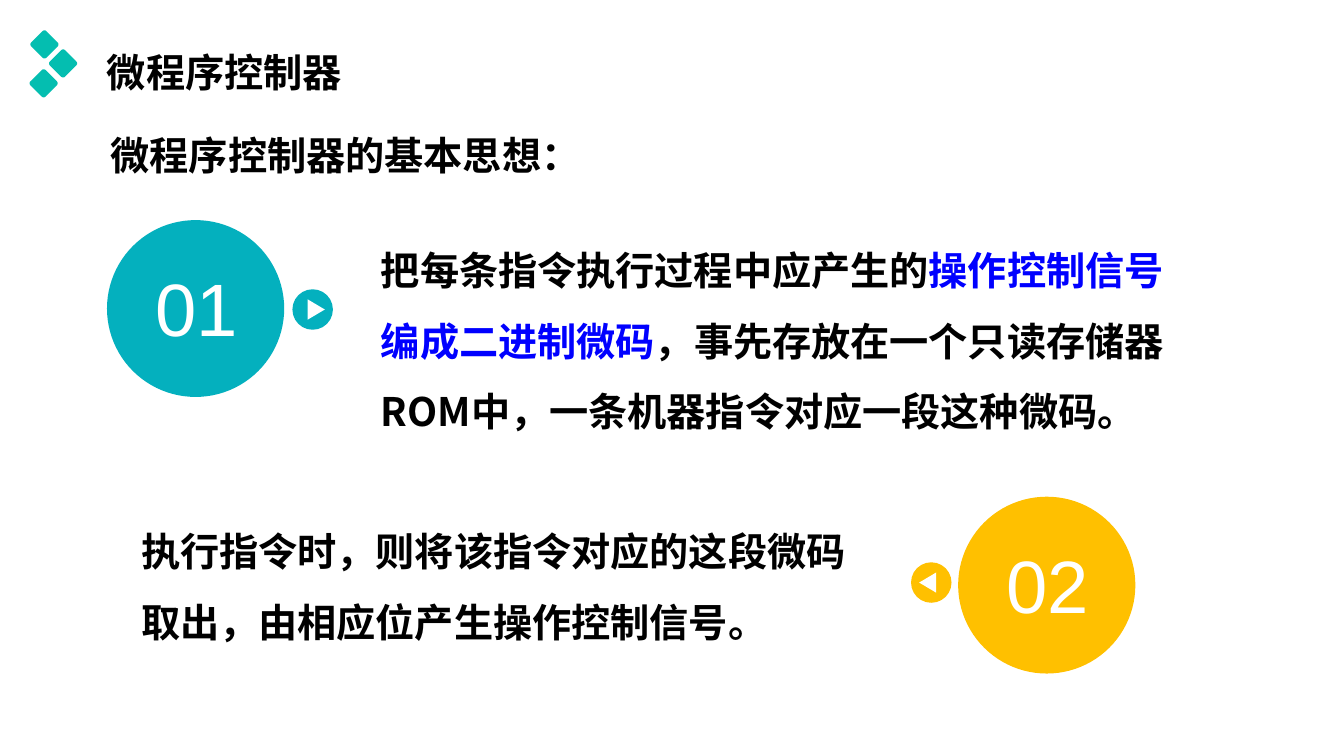
from lxml import etree
from pptx import Presentation
from pptx.dml.color import RGBColor
from pptx.enum import shapes, text
from pptx.oxml import ns
from pptx.util import Cm, Pt

HAN = "Noto Sans CJK SC"
TEAL, GREEN, AMBER = "04B0BE", "04BEB0", "FFC000"
BLACK, BLUE, WHITE = "000000", "0000FF", "FFFFFF"
KIND = shapes.MSO_SHAPE


def color(value):
    return RGBColor.from_string(value)


def place(item, box):
    for side, length in zip(("left", "top", "width", "height"), box):
        setattr(item, side, Cm(length))


def add_run(paragraph, words, ink, size=28, face=HAN, bold=True):
    run = paragraph.add_run()
    run.text = words
    for key, value in {"name": face, "size": Pt(size), "bold": bold}.items():
        setattr(run.font, key, value)
    run.font.color.rgb = color(ink)
    east_asian = etree.SubElement(run.font._element, ns.qn("a:ea"))
    east_asian.set("typeface", face)


def write(item, runs, indented=False, wrap=True,
          anchor=text.MSO_ANCHOR.TOP, fit=text.MSO_AUTO_SIZE.NONE):
    """Fill a box with one bold paragraph at 1.5 line spacing."""
    frame = item.text_frame
    for key, value in {"word_wrap": wrap, "vertical_anchor": anchor,
                       "auto_size": fit}.items():
        setattr(frame, key, value)
    paragraph = frame.paragraphs[0]
    if indented:
        paragraph.level = 1
        properties = paragraph._p.get_or_add_pPr()
        properties.set("marL", str(Cm(1.27)))
        properties.set("indent", "0")
        etree.SubElement(properties, ns.qn("a:buNone"))
    for key, value in {"alignment": text.PP_ALIGN.LEFT, "line_spacing": 1.5,
                       "space_before": Pt(0)}.items():
        setattr(paragraph, key, value)
    for words, ink in runs:
        add_run(paragraph, words, ink)


def add_text_box(slide, box):
    return slide.shapes.add_textbox(*map(Cm, box))


def add_figure(slide, kind, box, fill, outline=None, rotation=0):
    figure = slide.shapes.add_shape(kind, *map(Cm, box))
    figure.shadow.inherit = False
    figure.rotation = rotation
    figure.fill.solid()
    figure.fill.fore_color.rgb = color(fill)
    if outline:
        figure.line.color.rgb = color(fill)
        figure.line.width = Pt(outline)
    else:
        figure.line.fill.background()
    return figure


def add_diamond(slide, center_x, center_y, side=0.54):
    box = (center_x - side / 2, center_y - side / 2, side, side)
    diamond = add_figure(slide, KIND.ROUNDED_RECTANGLE, box, GREEN, rotation=45)
    diamond.adjustments[0] = 0.12


def add_number(slide, digits, left, top, fill):
    add_figure(slide, KIND.OVAL, (left, top, 4.36, 4.35), fill, outline=3)
    label = add_text_box(slide, (left + 0.66, top + 0.89, 3.1, 2.51))
    label.text_frame.word_wrap = True
    paragraph = label.text_frame.paragraphs[0]
    paragraph.alignment = text.PP_ALIGN.CENTER
    add_run(paragraph, digits, WHITE, size=53, face="Arial", bold=False)


def add_pointer(slide, left, top, fill, direction):
    """Small disc with a triangle; direction is 1 for right, -1 for left."""
    disc, base, height = 1.02, 0.51, 0.43
    add_figure(slide, KIND.OVAL, (left, top, disc, disc), fill)
    middle_x = left + disc / 2 + direction * 0.09
    box = (middle_x - base / 2, top + (disc - height) / 2, base, height)
    add_figure(slide, KIND.ISOSCELES_TRIANGLE, box, WHITE,
               rotation=90 * direction % 360)


def main():
    deck = Presentation()
    deck.slide_width, deck.slide_height = Cm(33.87), Cm(19.05)
    slide = deck.slides.add_slide(deck.slide_layouts[1])

    # Title and second idea
    title, execution = slide.placeholders
    place(title, (2.44, 0.46, 12.67, 2.11))
    write(title, [("微程序控制器", BLACK)], anchor=text.MSO_ANCHOR.MIDDLE)
    place(execution, (2.03, 12.57, 20.22, 6.48))
    write(execution, [("执行指令时，则将该指令对应的这段微码取出，"
                       "由相应位产生操作控制信号。", BLACK)], indented=True)

    # Corner ornament
    for center in ((1.12, 1.12), (1.59, 1.6), (1.1, 2.1)):
        add_diamond(slide, *center)

    # Subtitle and first idea
    grow = text.MSO_AUTO_SIZE.SHAPE_TO_FIT_TEXT
    subtitle = add_text_box(slide, (2.54, 2.59, 12.47, 2.06))
    write(subtitle, [("微程序控制器的基本思想：", BLACK)], wrap=False, fit=grow)
    encoding = add_text_box(slide, (8.08, 5.49, 21.92, 5.64))
    write(encoding, [
        ("把每条指令执行过程中应产生的", BLACK),
        ("操作控制信号编成二进制微码", BLUE),
        ("，事先存放在一个只读存储器ROM中，一条机器指令对应一段这种微码。", BLACK),
    ], indented=True, fit=grow)

    # Numbered circles and their pointers
    add_number(slide, "01", 2.75, 5.6, TEAL)
    add_number(slide, "02", 24.2, 12.57, AMBER)
    add_pointer(slide, 7.37, 7.29, TEAL, 1)
    add_pointer(slide, 22.96, 14.17, AMBER, -1)

    deck.save("out.pptx")


if __name__ == "__main__":
    main()
